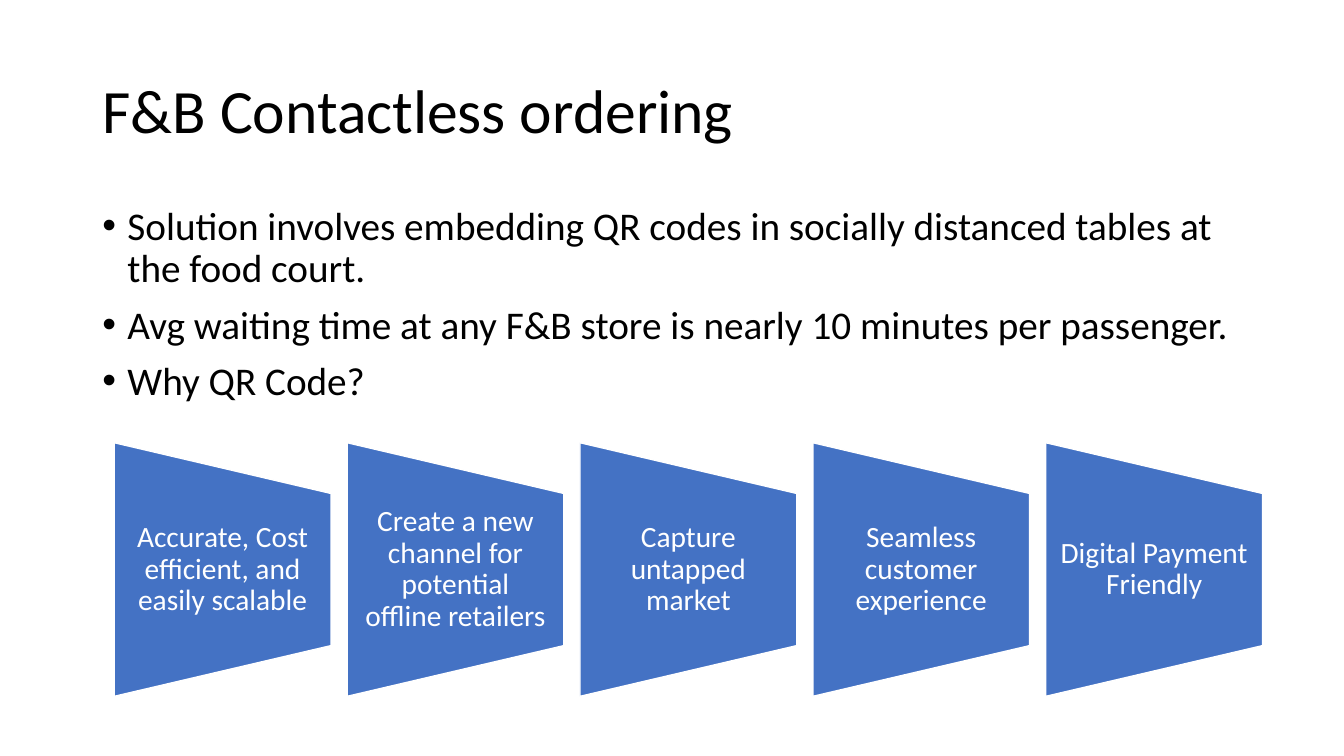
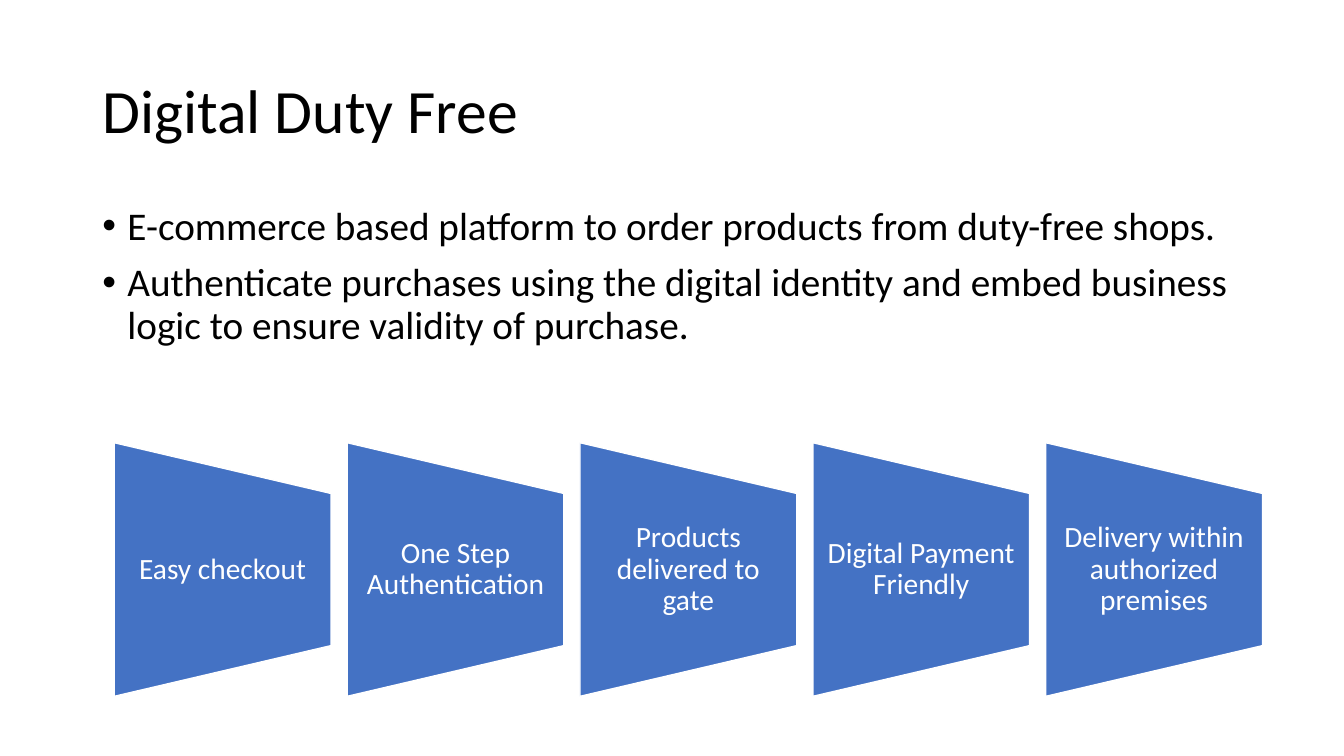
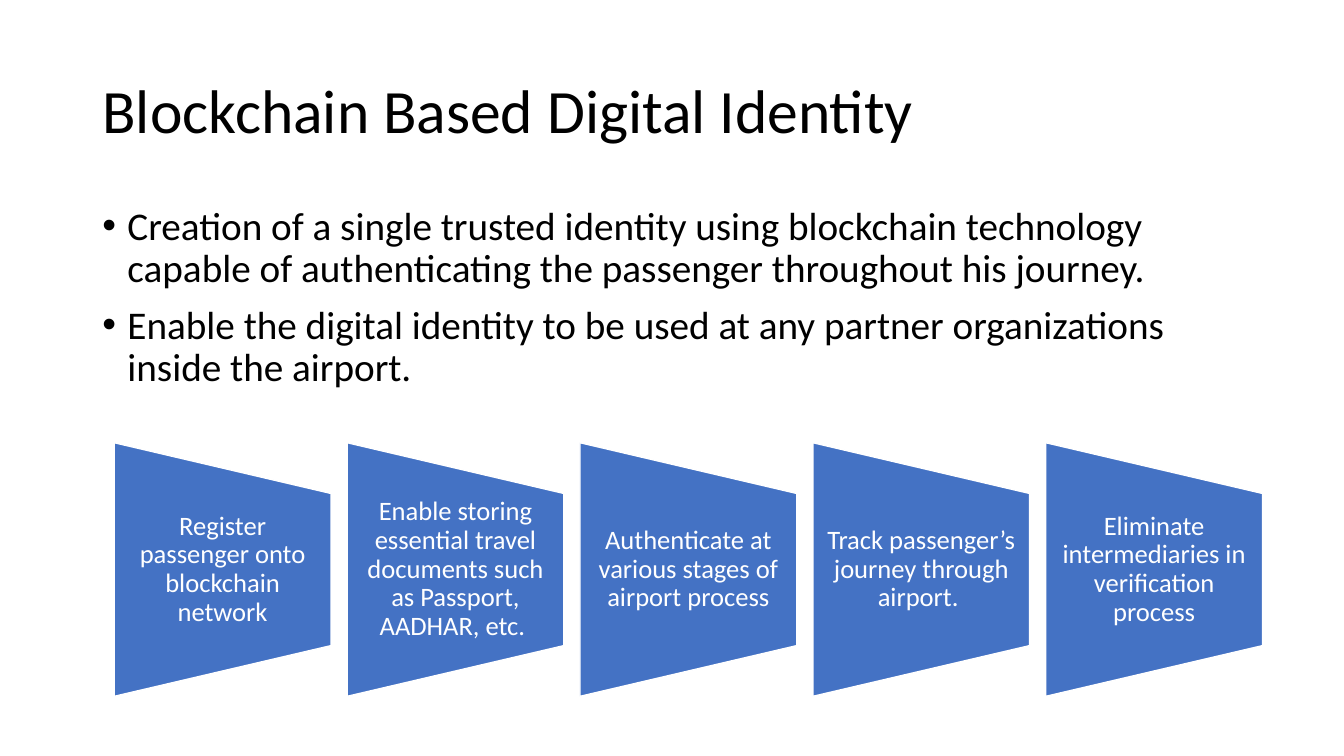
from collections import namedtuple

from lxml import etree
from pptx import Presentation
from pptx import util as u
from pptx.dml.color import RGBColor
from pptx.enum import shapes, text
from pptx.oxml.ns import qn

Box = namedtuple("Box", "x y w h")

# Grid of 160 columns by 90 rows on a 13.33 x 7.5 inch slide
CELL = u.Inches(7.5) // 90
COLS, ROWS = 160, 90
FONT = "Calibri"
COLORS = {"text": "000000", "step": "4472C4", "light": "FFFFFF"}

TITLE = Box(11, 4.8, 138, 17.4)
BODY = Box(11, 24, 138, 28)
STEPS = Box(13.6, 52.7, 136.7, 30.2)
STEP_GAP = 1.92

SLIDES = [
    {
        "title": "F&B Contactless ordering",
        "bullets": [
            "Solution involves embedding QR codes in socially distanced tables at the food court.",
            "Avg waiting time at any F&B store is nearly 10 minutes per passenger.",
            "Why QR Code?",
        ],
        "steps": [
            "Accurate, Cost efficient, and easily scalable",
            "Create a new channel for potential offline retailers",
            "Capture untapped market",
            "Seamless customer experience",
            "Digital Payment Friendly",
        ],
        "step_size": 21,
    },
    {
        "title": "Digital Duty Free",
        "bullets": [
            "E-commerce based platform to order products from duty-free shops.",
            "Authenticate purchases using the digital identity and embed business "
            "logic to ensure validity of purchase.",
        ],
        "steps": [
            "Easy checkout",
            "One Step Authentication",
            "Products delivered to gate",
            "Digital Payment Friendly",
            "Delivery within authorized premises",
        ],
        "step_size": 21,
    },
    {
        "title": "Blockchain Based Digital Identity",
        "bullets": [
            "Creation of a single trusted identity using blockchain technology "
            "capable of authenticating the passenger throughout his journey.",
            "Enable the digital identity to be used at any partner organizations "
            "inside the airport.",
        ],
        "steps": [
            "Register passenger onto blockchain network",
            "Enable storing essential travel documents such as Passport, AADHAR, etc. ",
            "Authenticate at various stages of airport process",
            "Track passenger’s journey through airport. ",
            "Eliminate intermediaries in verification process",
        ],
        "step_size": 19,
    },
]


def emu(box):
    return [round(v * CELL) for v in box]


def color(name):
    return RGBColor.from_string(COLORS[name])


def write(tf, lines, size, ink="text", align=text.PP_ALIGN.LEFT,
          anchor=text.MSO_ANCHOR.MIDDLE):
    """Fill a text frame with one paragraph per line in the shared style."""
    tf.word_wrap = True
    tf.auto_size = text.MSO_AUTO_SIZE.NONE
    tf.vertical_anchor = anchor
    tf.text = "\n".join(lines)
    for p in tf.paragraphs:
        p.alignment = align
        p.line_spacing = 0.9
        p.font.name = FONT
        p.font.size = u.Pt(size)
        p.font.color.rgb = color(ink)


def add_title(s, title, box):
    sp = s.shapes.title
    sp.left, sp.top, sp.width, sp.height = emu(box)
    write(sp.text_frame, [title], 44)


def add_bullets(s, lines, box):
    tf = s.shapes.add_textbox(*emu(box)).text_frame
    write(tf, lines, 28, anchor=text.MSO_ANCHOR.TOP)
    for p in tf.paragraphs:
        p.space_before = u.Pt(10)
        pPr = p._p.get_or_add_pPr()
        pPr.set("marL", str(u.Inches(0.25)))
        pPr.set("indent", str(-u.Inches(0.25)))
        # Bullet elements precede the default run properties
        bullet = [etree.Element(qn("a:buFont"), typeface="Arial"),
                  etree.Element(qn("a:buChar"), char="•")]
        for el in bullet:
            pPr.insert_element_before(el, "a:tabLst", "a:defRPr", "a:extLst")


def add_step(s, label, size, box):
    """Place a trapezoid narrowing to the right, with its label level on top."""
    x, y, w, h = box
    unturned = Box(x + (w - h) / 2, y + (h - w) / 2, h, w)
    sp = s.shapes.add_shape(shapes.MSO_SHAPE.FLOWCHART_MANUAL_OPERATION, *emu(unturned))
    sp.rotation = 270
    sp.shadow.inherit = False
    sp.fill.solid()
    sp.fill.fore_color.rgb = color("step")
    sp.line.color.rgb = color("light")
    sp.line.width = u.Pt(1)

    tf = s.shapes.add_textbox(*emu(Box(x, y + h * 0.2, w, h * 0.6))).text_frame
    write(tf, [label], size, "light", text.PP_ALIGN.CENTER)
    tf.margin_left = tf.margin_right = u.Pt(size * 0.5)
    tf.margin_top = tf.margin_bottom = 0


def add_steps(s, labels, size, box):
    w = (box.w - STEP_GAP * (len(labels) - 1)) / len(labels)
    for i, label in enumerate(labels):
        add_step(s, label, size, Box(box.x + i * (w + STEP_GAP), box.y, w, box.h))


def add_solution_slide(prs, content):
    s = prs.slides.add_slide(prs.slide_layouts.get_by_name("Title Only"))
    add_title(s, content["title"], TITLE)
    add_bullets(s, content["bullets"], BODY)
    add_steps(s, content["steps"], content["step_size"], STEPS)


def main():
    prs = Presentation()
    prs.slide_width, prs.slide_height = COLS * CELL, ROWS * CELL
    for content in SLIDES:
        add_solution_slide(prs, content)
    prs.save("out.pptx")


if __name__ == "__main__":
    main()
